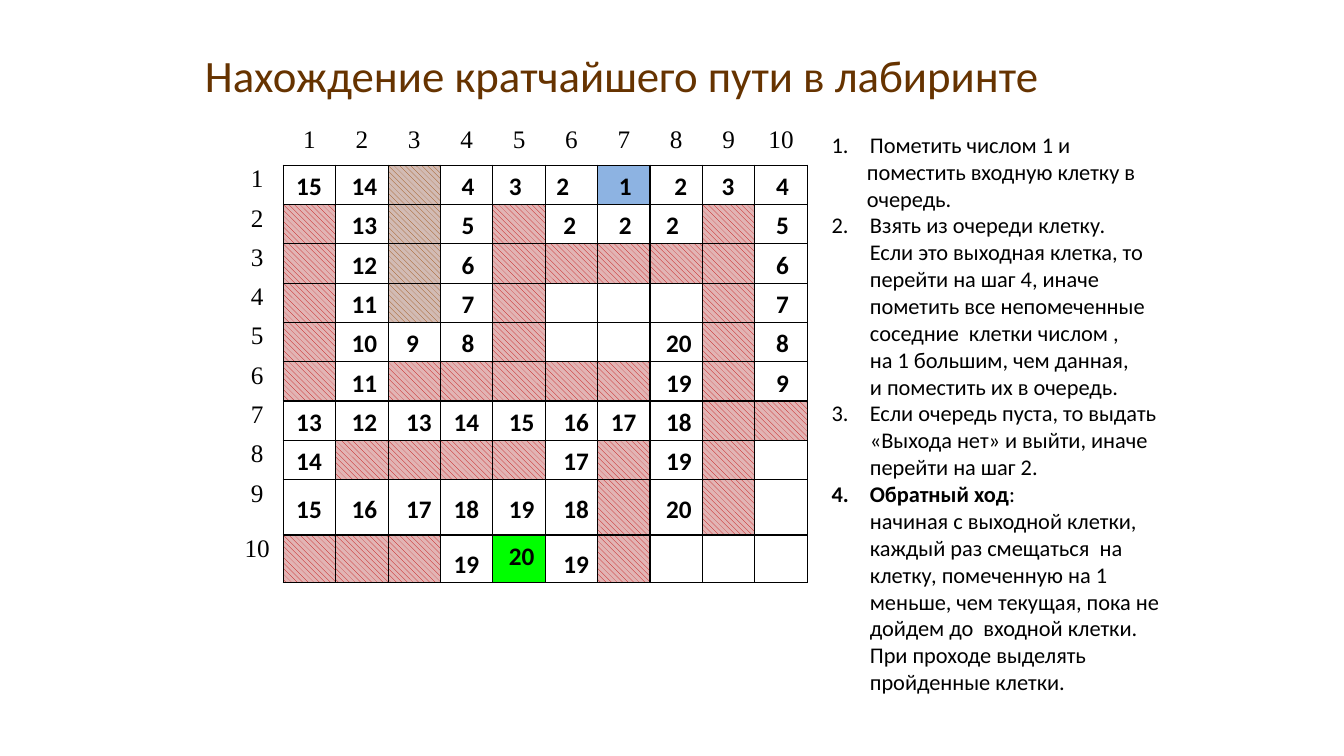
from dataclasses import dataclass
from itertools import accumulate

from lxml import etree
from pptx import Presentation
from pptx import util as u
from pptx.dml.color import RGBColor
from pptx.enum import dml, text
from pptx.oxml.ns import qn

COLORS = {
    "title": "663300", "text": "000000", "entry": "8DB3E2", "exit": "00FF00",
    "wall": "C00000", "wall_bg": "E2B4B4", "closed": "984806", "closed_bg": "D2BBB4",
}
PATTERNS = {"#": "wall", "~": "closed"}

# Maze: # wall, ~ closed corridor, . unvisited cell, number = wave mark
MAZE = [row.split() for row in (
    "15 14 ~ 4 3 2 1 2 3 4",
    "# 13 ~ 5 # 2 2 2 # 5",
    "# 12 ~ 6 # # # # # 6",
    "# 11 ~ 7 # . . . # 7",
    "# 10 9 8 # . . 20 # 8",
    "# 11 # # # # # 19 # 9",
    "13 12 13 14 15 16 17 18 # #",
    "14 # # # # 17 # 19 # .",
    "15 16 17 18 19 18 # 20 # .",
    "# # # 19 20 19 # . . .",
)]
ENDPOINTS = {(1, 7): "entry", (10, 5): "exit"}
LEFT, TOP, COL_W = 2.29, 1.25, 0.52
ROW_HEIGHTS = [0.39] * 9 + [0.55, 0.47]
ROW_TOPS = list(accumulate(ROW_HEIGHTS, initial=TOP))

# Wave marks: left edge per column, and marks moved off the grid
MARK_LEFTS = [2.84, 3.39, 3.93, 4.4, 4.95, 5.49, 6.04, 6.51, 7.06, 7.6]
LOW_ROWS = (9, 10)
NUDGES = {(1, 6): (-0.07, 0), (1, 8): (0.08, 0), (7, 7): (-0.08, 0), (10, 5): (0, -0.08)}


@dataclass
class Step:
    head: str
    lines: list[str]
    tail: str = ""
    indent: float = 0.38


STEPS = [
    Step("Пометить числом 1 и", ["поместить входную клетку в", "очередь."], indent=0.35),
    Step("Взять из очереди клетку.", [
        "Если это выходная клетка, то", "перейти на шаг 4, иначе",
        "пометить все непомеченные", "соседние  клетки числом ,",
        "на 1 большим, чем данная,", "и поместить их в очередь."]),
    Step("Если очередь пуста, то выдать", ["«Выхода нет» и выйти, иначе", "перейти на шаг 2."]),
    Step("Обратный ход", [
        "начиная с выходной клетки,", "каждый раз смещаться  на",
        "клетку, помеченную на 1", "меньше, чем текущая, пока не",
        "дойдем до  входной клетки.", "При проходе выделять", "пройденные клетки."], tail=":"),
]


def rgb(name: str) -> RGBColor:
    return RGBColor.from_string(COLORS[name])


def set_font(p, size: float, name: str = "Calibri", color: str = "text", bold: bool = False) -> None:
    p.font.size, p.font.name, p.font.bold = u.Pt(size), name, bold
    p.font.color.rgb = rgb(color)


def add_title(s) -> None:
    sp = s.shapes.title
    sp.left, sp.top, sp.width, sp.height = map(u.Inches, (1.67, 0.23, 9, 1.03))
    tf = sp.text_frame
    tf.text = "Нахождение кратчайшего пути в лабиринте"
    tf.vertical_anchor = text.MSO_ANCHOR.MIDDLE
    tf.paragraphs[0].alignment = text.PP_ALIGN.CENTER
    set_font(tf.paragraphs[0], 32, color="title")


def set_borders(cell, visible: str) -> None:
    tc_pr = cell._tc.get_or_add_tcPr()
    for i, side in enumerate("LRTB"):
        ln = etree.Element(qn(f"a:ln{side}"), w=str(u.Pt(1)))
        if side in visible:
            fill = etree.SubElement(ln, qn("a:solidFill"))
            etree.SubElement(fill, qn("a:srgbClr"), val=COLORS["text"])
        else:
            etree.SubElement(ln, qn("a:noFill"))
        tc_pr.insert(i, ln)


def fill_cell(cell, row: int, col: int) -> None:
    mark = MAZE[row - 1][col - 1] if row and col else ""
    if mark in PATTERNS:
        name = PATTERNS[mark]
        cell.fill.patterned()
        cell.fill.pattern = dml.MSO_PATTERN.DOWNWARD_DIAGONAL
        cell.fill.fore_color.rgb = rgb(name)
        cell.fill.back_color.rgb = rgb(name + "_bg")
    elif (row, col) in ENDPOINTS:
        cell.fill.solid()
        cell.fill.fore_color.rgb = rgb(ENDPOINTS[row, col])
    else:
        cell.fill.background()


def add_maze(s) -> None:
    n = len(ROW_HEIGHTS)
    frame = s.shapes.add_table(n, n, u.Inches(LEFT), u.Inches(TOP),
                               u.Inches(COL_W * n), u.Inches(sum(ROW_HEIGHTS)))
    table = frame.table
    table.first_row = table.horz_banding = False
    for i, height in enumerate(ROW_HEIGHTS):
        table.rows[i].height = u.Inches(height)
        table.columns[i].width = u.Inches(COL_W)
    for row in range(n):
        for col in range(n):
            cell = table.cell(row, col)
            cell.margin_left = cell.margin_right = u.Inches(0.07)
            cell.margin_top = cell.margin_bottom = 0
            fill_cell(cell, row, col)
            if row and col:
                set_borders(cell, "LRTB")
            else:
                set_borders(cell, "R" if row else "B" if col else "")
            # Row and column numbers
            if (row == 0) != (col == 0):
                p = cell.text_frame.paragraphs[0]
                p.text = str(row or col)
                p.alignment = text.PP_ALIGN.CENTER
                set_font(p, 18, "Times New Roman")


def add_marks(s) -> None:
    for row, marks in enumerate(MAZE, 1):
        for col, mark in enumerate(marks, 1):
            if not mark.isdigit():
                continue
            dx, dy = NUDGES.get((row, col), (0, 0))
            x = MARK_LEFTS[col - 1] + dx + (0.08 if col == 4 and len(mark) == 1 else 0)
            y = ROW_TOPS[row] + dy + (0.08 if row in LOW_ROWS else 0)
            width = 0.33 if len(mark) == 1 else 0.46
            sp = s.shapes.add_textbox(*map(u.Inches, (x, y, width, 0.4)))
            sp.text_frame.word_wrap = False
            p = sp.text_frame.paragraphs[0]
            p.text = mark
            set_font(p, 18, bold=True)


def add_steps(s) -> None:
    tf = s.shapes.add_textbox(*map(u.Inches, (8.15, 1.25, 3.54, 5.76))).text_frame
    tf.word_wrap = True
    for number, step in enumerate(STEPS, 1):
        for i, line in enumerate([step.head, *step.lines]):
            p = tf.paragraphs[0] if number == 1 and i == 0 else tf.add_paragraph()
            p_pr = p._p.get_or_add_pPr()
            p_pr.set("marL", str(u.Inches(step.indent if i else 0.38)))
            p_pr.set("indent", str(0 if i else u.Inches(-0.38)))
            if i == 0:
                etree.SubElement(p_pr, qn("a:buFont"), typeface="+mj-lt")
                etree.SubElement(p_pr, qn("a:buAutoNum"), type="arabicPeriod", startAt=str(number))
            r = p.add_run()
            r.text = line
            set_font(p, 16)
            if i == 0 and step.tail:
                r.font.bold = True
                p.add_run().text = step.tail


def main() -> None:
    prs = Presentation()
    prs.slide_width, prs.slide_height = u.Inches(13.33), u.Inches(7.5)
    s = prs.slides.add_slide(prs.slide_layouts[5])
    add_title(s)
    add_maze(s)
    add_marks(s)
    add_steps(s)
    prs.save("out.pptx")


if __name__ == "__main__":
    main()
